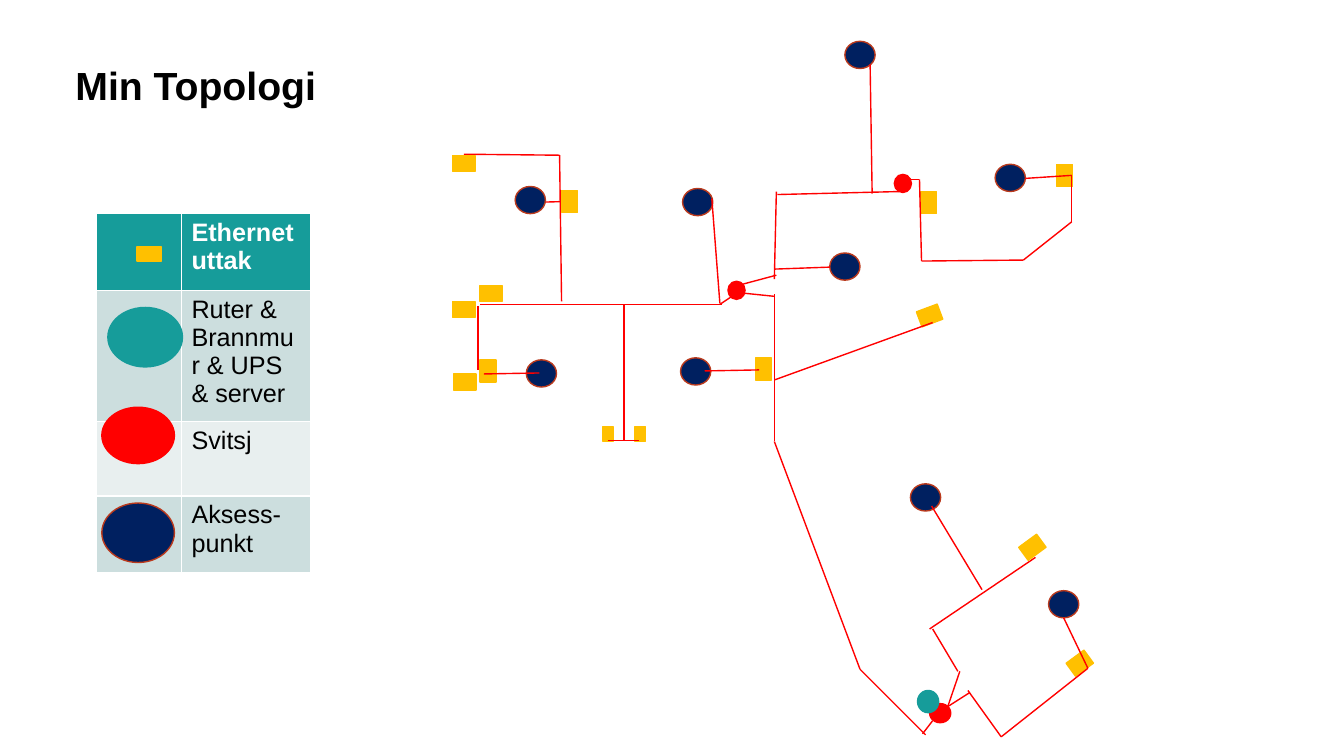
import itertools
import pptx
import pptx.util
import pptx.dml.color
import pptx.enum.shapes
import pptx.enum.text
import pptx.oxml
import pptx.oxml.ns

RGB = pptx.dml.color.RGBColor
TEAL = RGB(0x16, 0x9C, 0x9A)
RED = RGB(0xFF, 0x00, 0x00)
NAVY = RGB(0x00, 0x20, 0x60)
RUST = RGB(0xBA, 0x3A, 0x1D)
AMBER = RGB(0xFF, 0xC0, 0x00)
BAND_DARK = RGB(0xCC, 0xDE, 0xDE)
BAND_LIGHT = RGB(0xE8, 0xEF, 0xEF)
BLACK = RGB(0x00, 0x00, 0x00)
WHITE = RGB(0xFF, 0xFF, 0xFF)

PX = 9144  # 100 px to the inch
OVAL = pptx.enum.shapes.MSO_SHAPE.OVAL
RECT = pptx.enum.shapes.MSO_SHAPE.RECTANGLE
STRAIGHT = pptx.enum.shapes.MSO_CONNECTOR.STRAIGHT

prs = pptx.Presentation()
prs.slide_width, prs.slide_height = 1333 * PX, 750 * PX
s = prs.slides.add_slide(prs.slide_layouts[6])


def add_node(kind, x, y, w, h, fill, line, rotation=0):
    sp = s.shapes.add_shape(kind, x * PX, y * PX, w * PX, h * PX)
    sp.shadow.inherit = False
    sp.fill.solid()
    sp.fill.fore_color.rgb = fill
    sp.line.color.rgb = line
    sp.line.width = pptx.util.Pt(1)
    sp.rotation = rotation


def add_cables(runs):
    """Draw each run of points as a chain of straight cables."""
    for run in runs:
        for (x1, y1), (x2, y2) in itertools.pairwise(run):
            cable = s.shapes.add_connector(STRAIGHT, x1 * PX, y1 * PX, x2 * PX, y2 * PX)
            cable.line.color.rgb = RED
            cable.line.width = pptx.util.Pt(1)
            effects = pptx.oxml.parse_xml("<a:effectLst %s/>" % pptx.oxml.ns.nsdecls("a"))
            cable._element.spPr.append(effects)


# Title
tf = s.shapes.add_textbox(65 * PX, 61 * PX, 393 * PX, 192 * PX).text_frame
tf.word_wrap = True
tf.vertical_anchor = pptx.enum.text.MSO_ANCHOR.TOP
p = tf.paragraphs[0]
p.text = "Min Topologi"
p.line_spacing = 0.9
r = p.runs[0]
r.font.name, r.font.size, r.font.bold = "Arial", pptx.util.Pt(28), True
r.font.color.rgb = BLACK

# Legend: label, row height, fill, text colour
legend = [
    ("Ethernet uttak", 76, TEAL, WHITE),
    ("Ruter &\nBrannmur & UPS & server", 80, BAND_DARK, BLACK),
    ("Svitsj", 74, BAND_LIGHT, BLACK),
    ("Aksess-punkt", 76, BAND_DARK, BLACK),
]
table = s.shapes.add_table(len(legend), 2, 96 * PX, 212 * PX, 212 * PX, 306 * PX).table
table.columns[0].width, table.columns[1].width = 84 * PX, 128 * PX
for i, (label, height, fill, color) in enumerate(legend):
    table.rows[i].height = height * PX
    for cell in table.rows[i].cells:
        cell.fill.solid()
        cell.fill.fore_color.rgb = fill
    tf = table.cell(i, 1).text_frame
    tf.text = label
    for p in tf.paragraphs:
        font = p.runs[0].font
        font.name, font.size, font.bold = "Arial", pptx.util.Pt(18), i == 0
        font.color.rgb = color

add_node(OVAL, 107, 305, 74, 59, TEAL, TEAL)
add_node(OVAL, 101, 404, 72, 56, RED, RED)
add_node(OVAL, 101, 499, 72, 59, NAVY, RUST)
add_node(RECT, 136, 245, 24, 14, AMBER, AMBER)

# Cables that run behind the devices
add_cables([
    [(768, 292), (768, 438), (853, 664), (918, 729)],
    [(619, 302), (619, 438)],
    [(716, 302), (476, 302)],
    [(557, 299), (555, 154), (460, 153)],
    [(557, 200), (522, 201)],
    [(739, 291), (768, 294)],
    [(770, 273), (729, 284)],
    [(952, 666), (940, 701)],
    [(1027, 553), (922, 624)],
])

# Switches, then the router
for x, y, w, h in [(922, 698, 21, 19), (722, 279, 17, 18), (887, 173, 17, 18)]:
    add_node(OVAL, x, y, w, h, RED, RED)
add_node(OVAL, 910, 685, 21, 22, TEAL, TEAL)

# Ethernet sockets
for x, y, rotation in [
    (473, 360, 90), (1013, 535, 323.8), (1045, 166, 90), (910, 193, 90),
    (911, 305, 339.5), (476, 283, 0), (449, 154, 0), (449, 299, 0),
    (450, 371, 0), (746, 358, 90), (554, 192, 90), (1060, 650, 323.8),
]:
    add_node(RECT, x, y, 22, 16, AMBER, AMBER, rotation)
for x in (598, 630):
    add_node(RECT, x, 423, 10, 15, AMBER, AMBER)

# Access points
for x, y in [
    (675, 355), (1040, 586), (987, 163), (823, 251), (903, 480),
    (838, 41), (511, 185), (522, 357), (677, 187),
]:
    add_node(OVAL, x, y, 30, 27, NAVY, RUST)

# Cables that run in front of the devices
add_cables([
    [(474, 304), (474, 367)],
    [(729, 292), (714, 302)],
    [(770, 190), (768, 277)],
    [(893, 190), (771, 193)],
    [(823, 265), (768, 267)],
    [(925, 320), (768, 377)],
    [(899, 178), (912, 178), (914, 259), (1015, 258), (1063, 220), (1063, 174), (1017, 177)],
    [(863, 64), (865, 192)],
    [(950, 666), (925, 624)],
    [(1055, 613), (1079, 663), (993, 731), (960, 685)],
    [(962, 687), (940, 701)],
    [(974, 585), (924, 502)],
    [(925, 715), (915, 728)],
    [(753, 367), (699, 368)],
    [(535, 370), (480, 371)],
    [(603, 437), (634, 437)],
    [(706, 197), (714, 301)],
])

prs.save("out.pptx")
